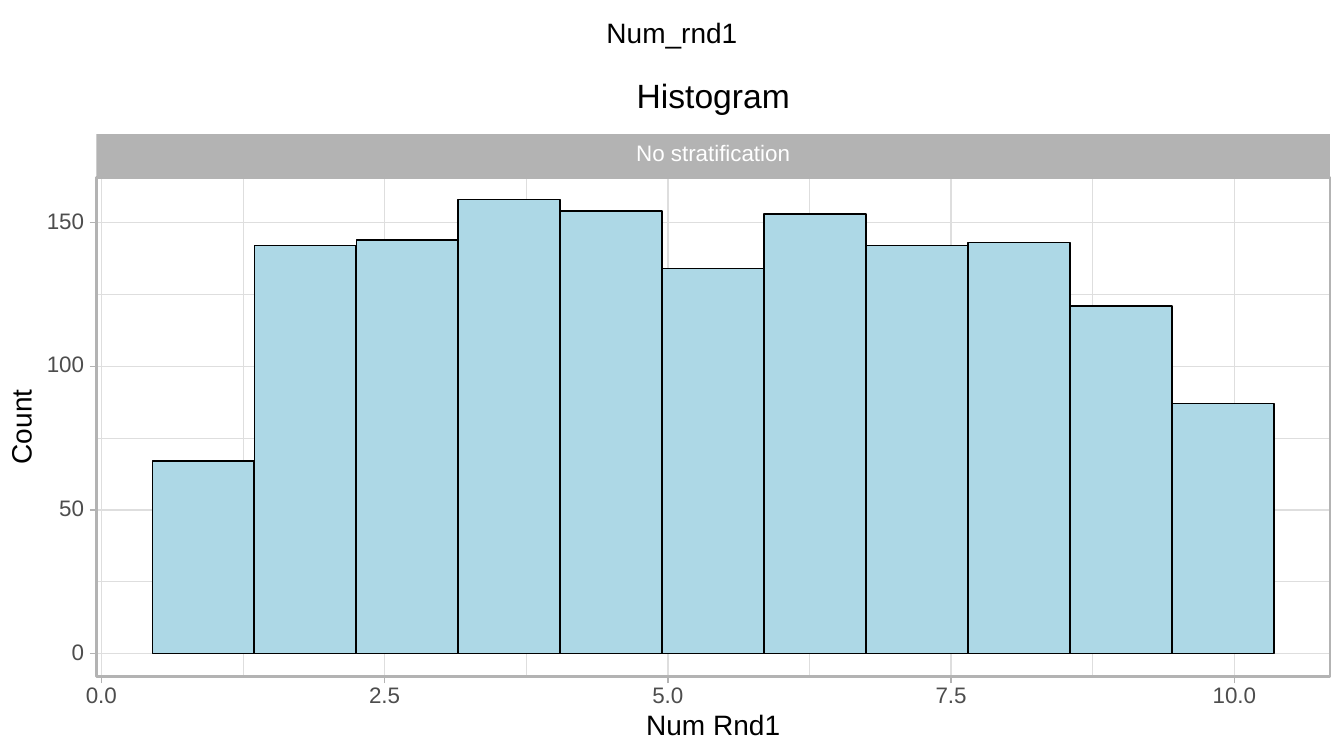
from lxml import etree
from pptx import Presentation
from pptx import util as u
from pptx.dml import color
from pptx.enum import shapes, text
from pptx.oxml import ns

COUNTS = [67, 142, 144, 158, 154, 134, 153, 142, 143, 121, 87]
BIN_START, BIN_WIDTH = 0.45, 0.9
X_TICKS = [0, 2.5, 5, 7.5, 10]
Y_TICKS = [0, 50, 100, 150]
LEFT, RIGHT, TOP, BOTTOM = 7.18, 98.96, 23.48, 89.47
STRIP_TOP = 17.73
MIDDLE = (LEFT + RIGHT) / 2
TICK_WIDTH, TICK_HEIGHT = 0.5, 0.9
GRID, GREY, LABEL = "DEDEDE", "B3B3B3", "4D4D4D"


def rgb(value):
    return color.RGBColor.from_string(value)


def x_share(value):
    return 7.54 + 8.43 * value


def y_share(count):
    return 86.45 - 0.38 * count


class Plot:
    """Draws styled elements on one slide, with lengths in percent of its size."""

    def __init__(self, deck, page, font):
        self.deck, self.page, self.font = deck, page, font

    def across(self, share):
        return round(self.deck.slide_width * share / 100)

    def down(self, share):
        return round(self.deck.slide_height * share / 100)

    def outline(self, item, line, width):
        item.line.color.rgb = rgb(line)
        item.line.width = u.Pt(width)

    def rectangle(self, left, top, right, bottom, fill=None, line=None, width=1):
        box = self.page.shapes.add_shape(
            shapes.MSO_SHAPE.RECTANGLE, self.across(left), self.down(top),
            self.across(right - left), self.down(bottom - top))
        box.shadow.inherit = False
        if fill:
            box.fill.solid()
            box.fill.fore_color.rgb = rgb(fill)
        else:
            box.fill.background()
        if line:
            self.outline(box, line, width)
        else:
            box.line.fill.background()

    def rule(self, x1, y1, x2, y2, line, width):
        rule = self.page.shapes.add_connector(
            shapes.MSO_CONNECTOR.STRAIGHT, self.across(x1), self.down(y1),
            self.across(x2), self.down(y2))
        self.outline(rule, line, width)
        etree.SubElement(rule._element.spPr, ns.qn("a:effectLst"))

    def words(self, content, x, y, size, ink="000000", align="CENTER",
              width=14, turn=0, box=None):
        box = box or self.page.shapes.add_textbox(0, 0, 0, 0)
        shift = {"CENTER": 0.5, "RIGHT": 1}[align]
        height = u.Pt(size)
        place = {"left": self.across(x - width * shift),
                 "top": self.down(y) - height // 2,
                 "width": self.across(width), "height": height,
                 "rotation": turn}
        frame = {"margin_left": 0, "margin_right": 0, "margin_top": 0,
                 "margin_bottom": 0, "word_wrap": True,
                 "auto_size": text.MSO_AUTO_SIZE.NONE,
                 "vertical_anchor": text.MSO_ANCHOR.MIDDLE}
        box.text_frame.text = content
        para = box.text_frame.paragraphs[0]
        layout = {"alignment": getattr(text.PP_ALIGN, align),
                  "line_spacing": u.Pt(size),
                  "space_before": u.Pt(0), "space_after": u.Pt(0)}
        span = para.runs[0]
        letters = {"name": self.font, "size": u.Pt(size)}
        for target, values in ((box, place), (box.text_frame, frame),
                               (para, layout), (span.font, letters)):
            for name, value in values.items():
                setattr(target, name, value)
        span.font.color.rgb = rgb(ink)


def midpoints(ticks):
    return [(first + second) / 2 for first, second in zip(ticks, ticks[1:])]


def draw_grid(plot):
    y_minor = [y_share(-25)] if y_share(-25) < BOTTOM else []
    y_minor += [y_share(count) for count in midpoints(Y_TICKS)]
    x_minor = [x_share(value) for value in midpoints(X_TICKS)]
    y_major = [y_share(count) for count in Y_TICKS]
    x_major = [x_share(value) for value in X_TICKS]
    for rows, columns, width in ((y_minor, x_minor, 0.48),
                                 (y_major, x_major, 0.97)):
        for y in rows:
            plot.rule(LEFT, y, RIGHT, y, GRID, width)
        for x in columns:
            plot.rule(x, BOTTOM, x, TOP, GRID, width)


def draw_bars(plot):
    for index, count in enumerate(COUNTS):
        start = BIN_START + index * BIN_WIDTH
        plot.rectangle(x_share(start), y_share(count),
                       x_share(start + BIN_WIDTH), y_share(0),
                       "ADD8E6", "000000", 1.07)


def draw_axes(plot):
    for value in X_TICKS:
        x = x_share(value)
        plot.rule(x, BOTTOM + TICK_HEIGHT, x, BOTTOM, GREY, 0.97)
        plot.words(f"{value:.1f}", x, 92.13, 16, LABEL, width=5)
    for count in Y_TICKS:
        y = y_share(count)
        plot.rule(LEFT - TICK_WIDTH, y, LEFT, y, GREY, 0.97)
        plot.words(str(count), 6.26, y, 16, LABEL, "RIGHT", width=4)
    plot.words("Num Rnd1", MIDDLE, 96.13, 20)
    plot.words("Count", 1.73, 56.47, 20, width=8, turn=270)


def main():
    deck = Presentation()
    deck.slide_width, deck.slide_height = u.Inches(13.33), u.Inches(7.5)
    page = deck.slides.add_slide(deck.slide_layouts[5])
    plot = Plot(deck, page, "Arial")
    plot.words("Num_rnd1", 50, 4.6, 20, box=page.shapes.title)
    draw_grid(plot)
    draw_bars(plot)
    plot.rectangle(LEFT, TOP, RIGHT, BOTTOM, line=GREY, width=1.94)
    plot.rectangle(LEFT, STRIP_TOP, RIGHT, TOP, GREY)
    plot.words("No stratification", MIDDLE, 20.53, 16, "FFFFFF")
    draw_axes(plot)
    plot.words("Histogram", MIDDLE, 13, 24)
    deck.save("out.pptx")


if __name__ == "__main__":
    main()
